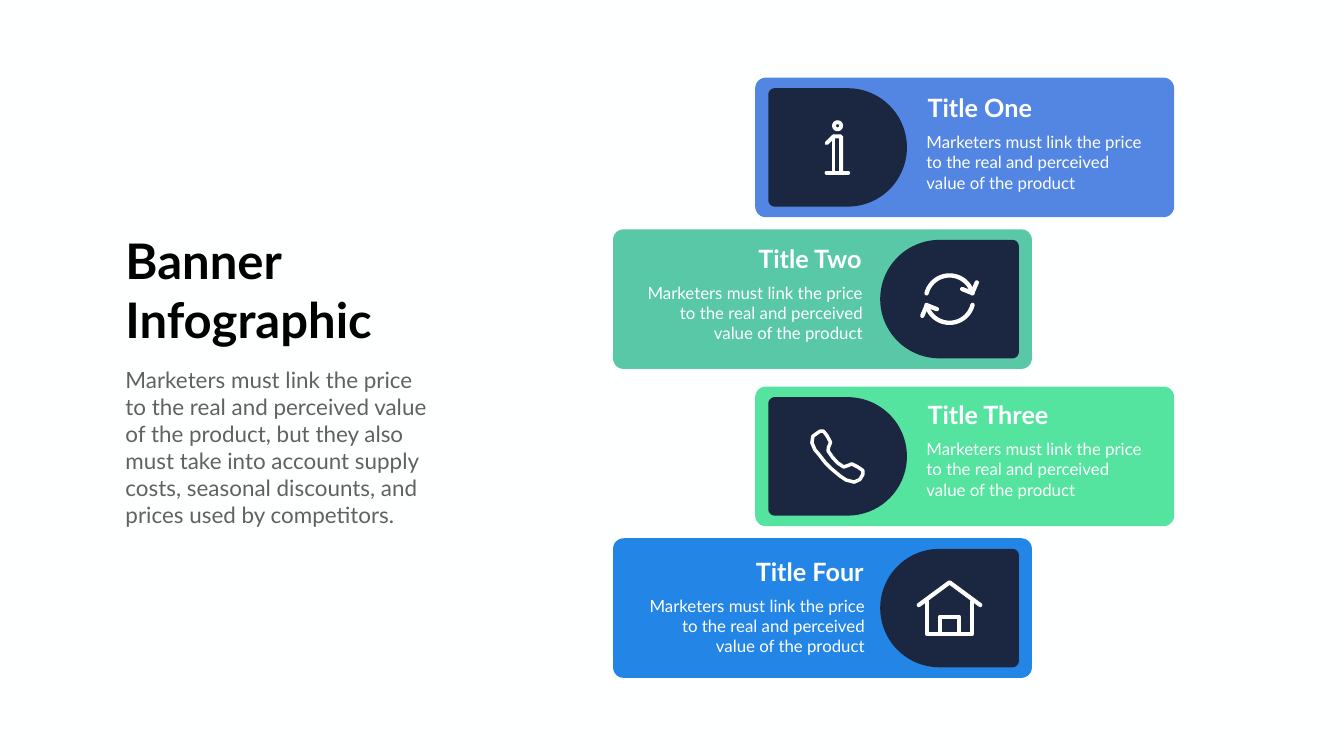
"""Builds the banner infographic slide: a heading and four staggered cards."""
from math import cos, radians, sin

from lxml.etree import SubElement
from pptx import Presentation
from pptx.dml.color import RGBColor
from pptx.enum.shapes import MSO_SHAPE
from pptx.enum.text import MSO_AUTO_SIZE, PP_ALIGN
from pptx.oxml.ns import qn
from pptx.util import Inches, Pt

COLORS = {
    "background": "FEFFFF", "heading": "000000", "intro": "616161",
    "panel": "1B2641", "white": "FFFFFF", "blue": "5386E3",
    "teal": "59C8A6", "green": "54E49F", "azure": "2386E7",
}
FONT = "Lato"
HEADING = ["Banner", "Infographic"]
INTRO = ("Marketers must link the price to the real and perceived value of the product, "
         "but they also must take into account supply costs, seasonal discounts, "
         "and prices used by competitors.")
SUMMARY = "Marketers must link the price to the real and perceived value of the product"
CARDS = [
    {"title": "Title One", "color": "blue", "icon": "info", "text_inset": 3.3, "text_drop": 0.24},
    {"title": "Title Two", "color": "teal", "icon": "refresh", "text_inset": 3.26, "text_drop": 0.22},
    {"title": "Title Three", "color": "green", "icon": "phone", "text_inset": 3.3, "text_drop": 0.2},
    {"title": "Title Four", "color": "azure", "icon": "house", "text_inset": 3.22, "text_drop": 0.3},
]

CARD_W, CARD_H, CARD_RADIUS = 8.31, 2.77, 0.21
CARD_LEFTS = (14.98, 12.16)
FIRST_TOP, PAIR_STEP, CARD_STEP = 1.54, 6.13, 3.01
PANEL_W, PANEL_H, PANEL_RADIUS = 2.75, 2.35, 0.13
PANEL_INSET = 0.26
TITLE_W, SUMMARY_W, SUMMARY_DROP = 2.78, 4.53, 0.79


def arc(x, y, radius, start, end, steps=24):
    angles = [radians(start + (end - start) * i / steps) for i in range(steps + 1)]
    return [(x + radius * cos(a), y + radius * sin(a)) for a in angles]


def turned(points):
    return [(-x, -y) for x, y in points]


REFRESH_ARC = arc(0, 0, 0.47, -166, -14)
REFRESH_HEAD = [(0.54, -0.33), (0.45, -0.12), (0.25, -0.2)]
HANDSET = [
    (-0.35, -0.5), (-0.28, -0.5), (-0.21, -0.41), (-0.14, -0.28), (-0.18, -0.18),
    (-0.19, -0.11), (-0.1, 0.02), (0, 0.13), (0.12, 0.21), (0.21, 0.18), (0.28, 0.15),
    (0.4, 0.21), (0.5, 0.28), (0.5, 0.36), (0.44, 0.46), (0.33, 0.51), (0.17, 0.47),
    (0.05, 0.39), (-0.13, 0.24), (-0.24, 0.13), (-0.38, -0.05), (-0.45, -0.13),
    (-0.51, -0.27), (-0.49, -0.4), (-0.35, -0.5),
]
ICONS = {
    "info": (5.5, [
        arc(0, -0.43, 0.07, 0, 360),
        [(-0.22, 0.5), (0.21, 0.5)],
        [(-0.22, -0.08), (-0.08, -0.22), (0.07, -0.22), (0.07, 0.5)],
        [(-0.08, -0.22), (-0.08, 0.5)],
    ]),
    "refresh": (6.2, [REFRESH_ARC, REFRESH_HEAD, turned(REFRESH_ARC), turned(REFRESH_HEAD)]),
    "phone": (5, [HANDSET]),
    "house": (6, [
        [(-0.61, -0.06), (0, -0.51), (0.61, -0.06)],
        [(-0.45, -0.13), (-0.45, 0.51), (0.45, 0.51), (0.45, -0.13)],
        [(-0.19, 0.51), (-0.19, 0.17), (0.19, 0.17), (0.19, 0.51)],
    ]),
}


def rgb(name):
    return RGBColor.from_string(COLORS[name])


def fill_plain(shape, color):
    shape.shadow.inherit = False
    shape.fill.solid()
    shape.fill.fore_color.rgb = rgb(color)
    shape.line.fill.background()


def add_outline(slide, center, points, close):
    spots = [(Inches(center[0] + x), Inches(center[1] + y)) for x, y in points]
    builder = slide.shapes.build_freeform(*spots[0])
    builder.add_line_segments(spots[1:], close=close)
    shape = builder.convert_to_shape()
    shape.shadow.inherit = False
    return shape


def add_panel(slide, center, side):
    half_w, half_h = PANEL_W / 2, PANEL_H / 2
    corner_x, corner_y = PANEL_RADIUS - half_w, half_h - PANEL_RADIUS
    points = (arc(half_w - half_h, 0, half_h, -90, 90, 60)
              + arc(corner_x, corner_y, PANEL_RADIUS, 90, 180)
              + arc(corner_x, -corner_y, PANEL_RADIUS, 180, 270))
    fill_plain(add_outline(slide, center, [(side * x, y) for x, y in points], True), "panel")


def add_icon(slide, center, icon):
    weight, strokes = ICONS[icon]
    for points in strokes:
        stroke = add_outline(slide, center, points, False)
        stroke.fill.background()
        stroke.line.color.rgb = rgb("white")
        stroke.line.width = Pt(weight)
        outline = stroke.line._get_or_add_ln()
        outline.set("cap", "rnd")
        SubElement(outline, qn("a:round"))


def add_text(slide, box, lines, size, color, bold=False, align=PP_ALIGN.LEFT):
    frame = slide.shapes.add_textbox(*map(Inches, box)).text_frame
    frame.word_wrap = True
    frame.auto_size = MSO_AUTO_SIZE.SHAPE_TO_FIT_TEXT
    for i, line in enumerate(lines):
        paragraph = frame.add_paragraph() if i else frame.paragraphs[0]
        paragraph.alignment = align
        run = paragraph.add_run()
        run.text = line
        run.font.name, run.font.size, run.font.bold = FONT, Pt(size), bold
        run.font.color.rgb = rgb(color)


def add_card(slide, index, card):
    pair, mirrored = divmod(index, 2)
    left = CARD_LEFTS[mirrored]
    top = FIRST_TOP + pair * PAIR_STEP + mirrored * CARD_STEP

    def place(inset, width):
        return left + (CARD_W - inset - width if mirrored else inset)

    banner = slide.shapes.add_shape(
        MSO_SHAPE.ROUNDED_RECTANGLE, *map(Inches, (left, top, CARD_W, CARD_H)))
    banner.adjustments[0] = CARD_RADIUS / CARD_H
    fill_plain(banner, card["color"])

    center = (place(PANEL_INSET, PANEL_W) + PANEL_W / 2, top + CARD_H / 2)
    add_panel(slide, center, -1 if mirrored else 1)
    add_icon(slide, center, card["icon"])

    align = PP_ALIGN.RIGHT if mirrored else PP_ALIGN.LEFT
    inset, text_top = card["text_inset"], top + card["text_drop"]
    add_text(slide, (place(inset + 0.02, TITLE_W), text_top, TITLE_W, 0.71),
             [card["title"]], 36, "white", True, align)
    add_text(slide, (place(inset, SUMMARY_W), text_top + SUMMARY_DROP, SUMMARY_W, 1.31),
             [SUMMARY], 24, "white", False, align)


def main():
    deck = Presentation()
    deck.slide_width, deck.slide_height = Inches(26.66), Inches(15)
    slide = deck.slides.add_slide(deck.slide_layouts[6])
    slide.background.fill.solid()
    slide.background.fill.fore_color.rgb = rgb("background")
    for index, card in enumerate(CARDS):
        add_card(slide, index, card)
    add_text(slide, (2.39, 4.52, 5.22, 2.46), HEADING, 70, "heading", True)
    add_text(slide, (2.39, 7.22, 6.28, 3.33), [INTRO], 32, "intro")
    deck.save("out.pptx")


if __name__ == "__main__":
    main()
